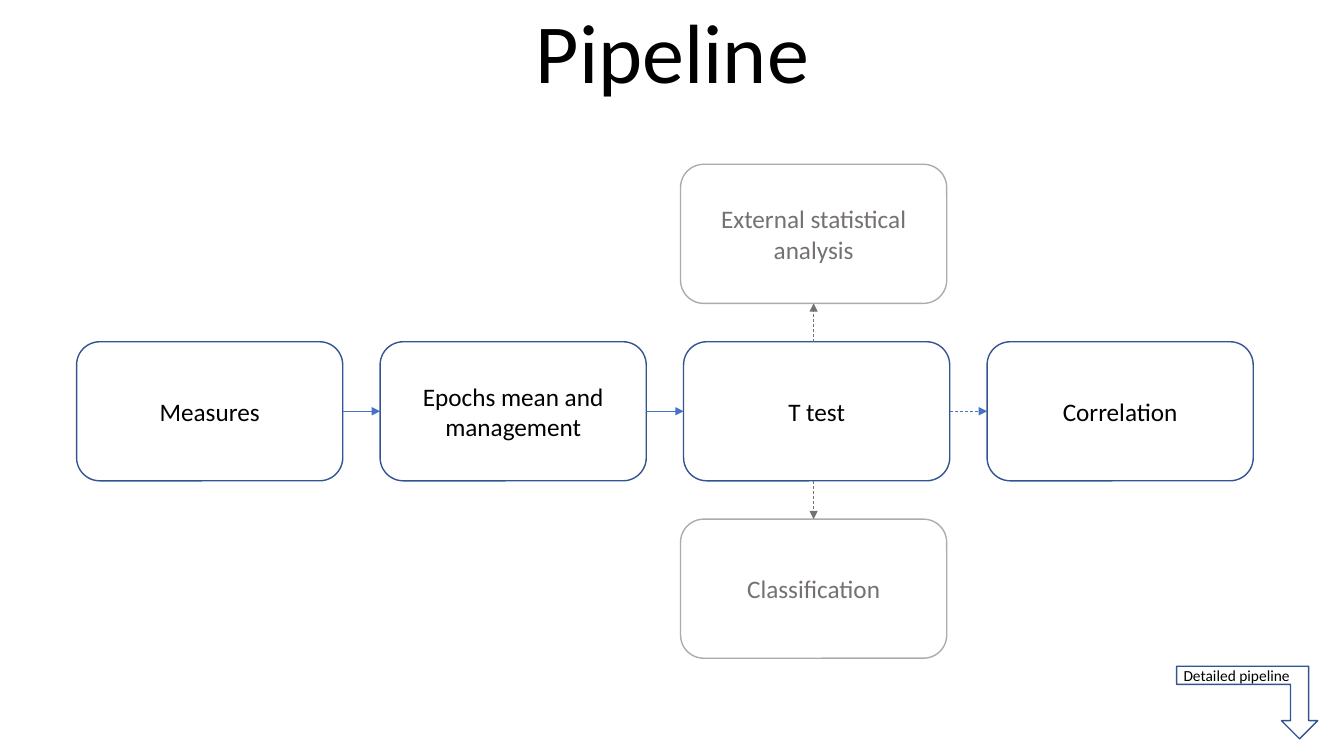
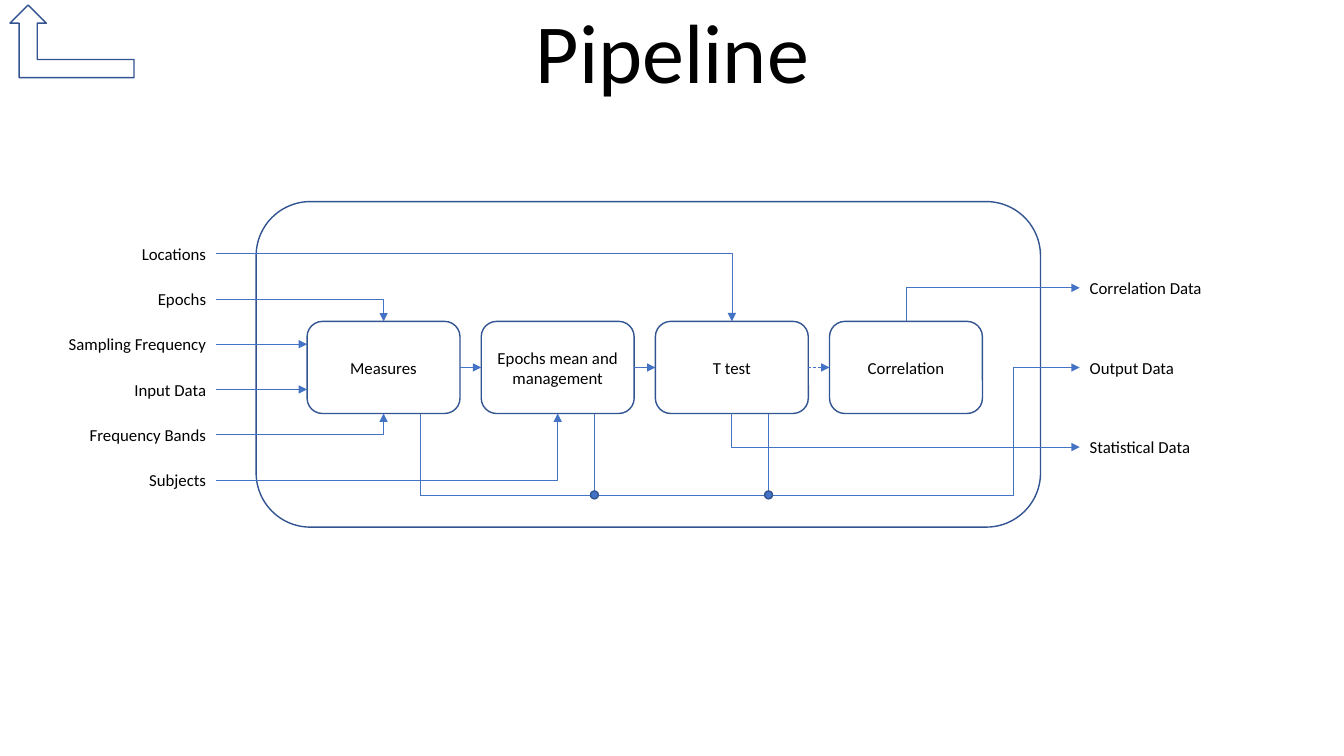
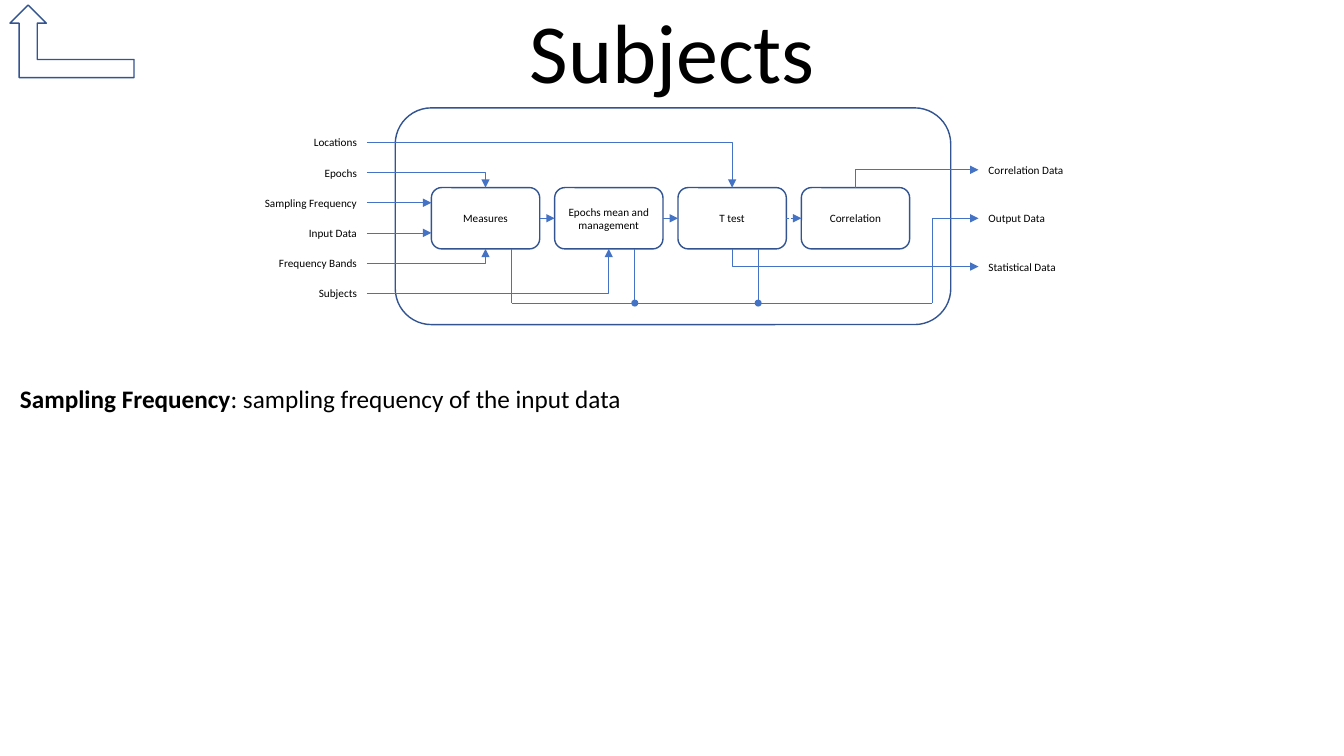
from dataclasses import dataclass

from lxml import etree
from pptx import Presentation
from pptx.dml.color import RGBColor
from pptx.enum.dml import MSO_LINE
from pptx.enum.shapes import MSO_CONNECTOR, MSO_SHAPE
from pptx.enum.text import MSO_ANCHOR, PP_ALIGN
from pptx.oxml.ns import qn
from pptx.util import Inches, Pt

BLACK = RGBColor(0x00, 0x00, 0x00)
WHITE = RGBColor(0xFF, 0xFF, 0xFF)
BLUE = RGBColor(0x44, 0x72, 0xC4)
NAVY = RGBColor(0x32, 0x54, 0x91)
GRAY = RGBColor(0x76, 0x71, 0x71)
SILVER = RGBColor(0xAF, 0xAB, 0xAB)
FONT = "Calibri"

STAGES = ["Measures", "Epochs mean and management", "T test", "Correlation"]
# label, index of the stage it feeds, side of that stage
INPUTS = [
    ("Locations", 2, "top"),
    ("Epochs", 0, "top"),
    ("Sampling Frequency", 0, "left"),
    ("Input Data", 0, "left"),
    ("Frequency Bands", 0, "bottom"),
    ("Subjects", 1, "bottom"),
]
LABEL_W, LABEL_H = 1.61, 0.3


@dataclass
class Panel:
    """Frame of the detailed diagram; its methods turn percentages of it into inches."""
    left: float
    top: float
    width: float
    height: float
    output_gap: float
    size: int
    dot_line: RGBColor

    def across(self, percent):
        return self.width * percent / 100

    def down(self, percent):
        return self.height * percent / 100

    def x(self, percent):
        return self.left + self.across(percent)

    def y(self, percent):
        return self.top + self.down(percent)


def write(tf, *runs, size=18, color=BLACK, align=PP_ALIGN.LEFT,
          anchor=MSO_ANCHOR.TOP, spacing=None):
    """Fill a text frame with one paragraph; each run is (text, bold)."""
    tf.word_wrap = True
    tf.vertical_anchor = anchor
    p = tf.paragraphs[0]
    p.alignment = align
    if spacing:
        p.line_spacing = spacing
    for text, bold in runs:
        r = p.add_run()
        r.text = text
        r.font.name, r.font.size, r.font.bold = FONT, Pt(size), bold
        r.font.color.rgb = color


def add_text(s, x, y, w, h, *runs, **fmt):
    box = s.shapes.add_textbox(Inches(x), Inches(y), Inches(w), Inches(h))
    write(box.text_frame, *runs, **fmt)


def add_title(s, text):
    add_text(s, 1.67, 0, 10, 1.06, (text, False), size=60, spacing=0.9,
             align=PP_ALIGN.CENTER, anchor=MSO_ANCHOR.BOTTOM)


def add_shape(s, kind, x, y, w, h, fill=WHITE, line=NAVY):
    sp = s.shapes.add_shape(kind, Inches(x), Inches(y), Inches(w), Inches(h))
    sp.shadow.inherit = False
    if fill is None:
        sp.fill.background()
    else:
        sp.fill.solid()
        sp.fill.fore_color.rgb = fill
    sp.line.color.rgb = line
    sp.line.width = Pt(1)
    return sp


def add_stage(s, x, y, w, h, text, size=18, color=BLACK, line=NAVY):
    sp = add_shape(s, MSO_SHAPE.ROUNDED_RECTANGLE, x, y, w, h, line=line)
    write(sp.text_frame, (text, False), size=size, color=color,
          align=PP_ALIGN.CENTER, anchor=MSO_ANCHOR.MIDDLE)
    return sp


def add_bent_arrow(s, x, y, w, h, flip):
    sp = add_shape(s, MSO_SHAPE.BENT_UP_ARROW, x, y, w, h)
    sp._element.spPr.find(qn("a:xfrm")).set(flip, "1")


def add_line(s, start, end, color=BLUE, dashed=False, arrow="tailEnd", elbow=False):
    """Line between two points; an elbow runs level first, then upright."""
    kind = MSO_CONNECTOR.ELBOW if elbow else MSO_CONNECTOR.STRAIGHT
    cx = s.shapes.add_connector(kind, *(Inches(v) for v in (*start, *end)))
    cx.line.color.rgb = color
    cx.line.width = Pt(0.5)
    if dashed:
        cx.line.dash_style = MSO_LINE.DASH
    spPr = cx._element.spPr
    if elbow:
        spPr.find(qn("a:prstGeom")).set("prst", "bentConnector2")
    if arrow:
        etree.SubElement(spPr.find(qn("a:ln")), qn(f"a:{arrow}"), type="triangle")
    etree.SubElement(spPr, qn("a:effectLst"))
    return cx


def add_chain(s, x, y, w, h, pitch, size):
    """Row of stages joined by arrows, the last one dashed."""
    stages = [add_stage(s, x + i * pitch, y, w, h, text, size)
              for i, text in enumerate(STAGES)]
    for i, (a, b) in enumerate(zip(stages, stages[1:])):
        cx = add_line(s, (0, 0), (1, 1), dashed=i == len(stages) - 2)
        cx.begin_connect(a, 3)
        cx.end_connect(b, 1)


def add_overview(s):
    x, y, w, h, pitch = 0.76, 3.39, 2.64, 1.38, 3.01
    add_chain(s, x, y, w, h, pitch, 18)
    branch_x, branch_pitch = 6.75, 1.76
    for text, step, edge, site in (("External statistical analysis", -1, y, 2),
                                   ("Classification", 1, y + h, 0)):
        branch = add_stage(s, branch_x, y + step * branch_pitch, w, h, text,
                           color=GRAY, line=SILVER)
        mid = branch_x + w / 2
        cx = add_line(s, (mid, edge), (mid, edge + step), color=GRAY, dashed=True)
        cx.end_connect(branch, site)


def add_detail(s, panel):
    """Stages inside a panel, with inputs at the left and outputs at the right."""
    add_shape(s, MSO_SHAPE.ROUNDED_RECTANGLE, panel.left, panel.top,
              panel.width, panel.height, fill=None)
    left, top = panel.x(6.5), panel.y(36.8)
    w, h = panel.across(19.5), panel.down(28.3)
    pitch = panel.across(22.2)
    mid = top + h / 2
    add_chain(s, left, top, w, h, pitch, panel.size)

    def center(stage):
        return left + stage * pitch + w / 2

    fmt = dict(size=panel.size, anchor=MSO_ANCHOR.MIDDLE)
    edges = {"top": top, "bottom": top + h}
    input_x = panel.x(-5.1)
    for i, (text, stage, side) in enumerate(INPUTS):
        y = panel.y(16 + 13.9 * i)
        add_text(s, input_x - LABEL_W, y - LABEL_H / 2, LABEL_W, LABEL_H,
                 (text, False), align=PP_ALIGN.RIGHT, **fmt)
        end = (left, y) if side == "left" else (center(stage), edges[side])
        add_line(s, (input_x, y), end, elbow=side != "left")

    output_x, riser_x, bus_y = panel.x(105), panel.x(96.6), panel.y(90.1)
    for i, text in enumerate(["Correlation Data", "Output Data", "Statistical Data"]):
        y = mid + (i - 1) * panel.output_gap
        add_text(s, output_x, y - LABEL_H / 2, LABEL_W, LABEL_H, (text, False), **fmt)
        if i == 1:
            add_line(s, (riser_x, y), (output_x, y))
        else:
            end = (center(3), top) if i == 0 else (center(2), top + h)
            add_line(s, (output_x, y), end, arrow="headEnd", elbow=True)

    taps = [left + stage * pitch + 0.74 * w for stage in range(3)]
    for tap in taps:
        add_line(s, (tap, top + h), (tap, bus_y), arrow=None)
    add_line(s, (taps[0], bus_y), (riser_x, bus_y), arrow=None)
    add_line(s, (riser_x, bus_y), (riser_x, mid), arrow=None)
    dot = panel.across(1)
    for tap in taps[1:]:
        add_shape(s, MSO_SHAPE.OVAL, tap - dot / 2, bus_y - dot / 2, dot, dot,
                  fill=BLUE, line=panel.dot_line)


def main():
    prs = Presentation()
    prs.slide_width, prs.slide_height = Inches(13.33), Inches(7.5)
    slides = []
    for title in ("Pipeline", "Pipeline", "Subjects"):
        s = prs.slides.add_slide(prs.slide_layouts[6])
        add_title(s, title)
        slides.append(s)
    overview, detail, subjects = slides

    add_overview(overview)
    add_bent_arrow(overview, 11.67, 6.61, 1.4, 0.72, "flipV")
    add_text(overview, 11.64, 6.56, 1.4, 0.29, ("Detailed pipeline", False), size=11)

    add_detail(detail, Panel(2.54, 2, 7.78, 3.23, 0.79, 12, NAVY))
    add_detail(subjects, Panel(3.92, 1.07, 5.51, 2.15, 0.48, 8, BLUE))
    for s in (detail, subjects):
        add_bent_arrow(s, 0.1, 0.05, 1.23, 0.72, "flipH")
    add_text(subjects, 0.1, 3.75, 13.13, 0.4, ("Sampling Frequency", True),
             (": sampling frequency of the input data", False))
    prs.save("out.pptx")


if __name__ == "__main__":
    main()
